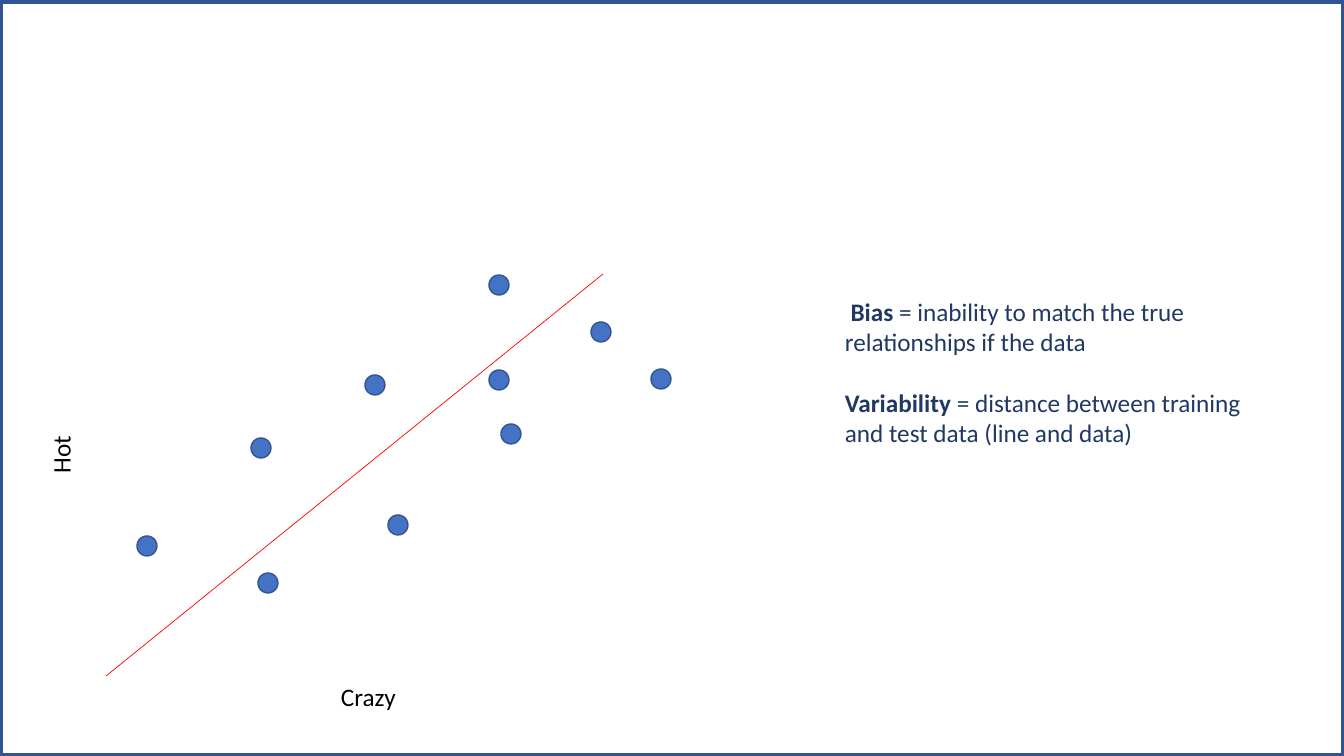
import pptx
import pptx.util
import pptx.dml.color
import pptx.enum.shapes
import pptx.enum.text
import pptx.oxml

PX = 12192000 / 1344
COLORS = {"dot": "4472C4", "edge": "325491", "fit": "FF0000", "axis": "000000", "note": "203864"}
DOT = 20
DOT_CENTERS = [
    (147, 546), (268, 583), (261, 448), (398, 525), (375, 385),
    (499, 285), (511, 434), (661, 379), (601, 332), (499, 380),
]
AXIS_LABELS = [("Crazy", 331, 676, 0), ("Hot", 6, 408, 270)]
DEFINITIONS = [
    (" Bias", " = inability to match the true relationships if the data"),
    ("Variability", " = distance between training and test data (line and data)"),
]


def px(*lengths):
    return [pptx.util.Emu(round(n * PX)) for n in lengths]


def style(font, color, bold=False):
    font.name = "Calibri"
    font.size = pptx.util.Pt(18)
    font.bold = bold
    font.color.rgb = pptx.dml.color.RGBColor.from_string(COLORS[color])


prs = pptx.Presentation()
prs.slide_width, prs.slide_height = px(1344, 756)
s = prs.slides.add_slide(prs.slide_layouts[6])
edge = pptx.dml.color.RGBColor.from_string(COLORS["edge"])

# Axis labels
for text, left, top, rotation in AXIS_LABELS:
    sp = s.shapes.add_textbox(*px(left, top, 110, 41))
    sp.rotation = rotation
    tf = sp.text_frame
    tf.word_wrap = True
    tf.text = text
    style(tf.paragraphs[0].runs[0].font, "axis")

# Data points
for x, y in DOT_CENTERS:
    sp = s.shapes.add_shape(
        pptx.enum.shapes.MSO_SHAPE.OVAL, *px(x - DOT / 2, y - DOT / 2, DOT, DOT))
    sp.shadow.inherit = False
    sp.fill.solid()
    sp.fill.fore_color.rgb = pptx.dml.color.RGBColor.from_string(COLORS["dot"])
    sp.line.color.rgb = edge
    sp.line.width = pptx.util.Pt(1)

# Fitted line
fit = s.shapes.add_connector(
    pptx.enum.shapes.MSO_CONNECTOR.STRAIGHT, *px(106, 676, 603, 274))
fit.line.color.rgb = pptx.dml.color.RGBColor.from_string(COLORS["fit"])
fit.line.width = pptx.util.Pt(0.5)
fit._element.spPr.append(pptx.oxml.parse_xml(
    '<a:effectLst xmlns:a="http://schemas.openxmlformats.org/drawingml/2006/main"/>'))

# Definitions
sp = s.shapes.add_textbox(*px(835, 291, 454, 163))
tf = sp.text_frame
tf.word_wrap = True
for i, (term, meaning) in enumerate(DEFINITIONS):
    p = tf.add_paragraph() if i else tf.paragraphs[0]
    if i:
        p.space_before = pptx.util.Pt(22)
    for text, bold in ((term, True), (meaning, False)):
        r = p.add_run()
        r.text = text
        style(r.font, "note", bold)

# Slide frame
sp = s.shapes.add_shape(pptx.enum.shapes.MSO_SHAPE.RECTANGLE, *px(0, 1, 1344, 755))
sp.shadow.inherit = False
sp.fill.background()
sp.line.color.rgb = edge
sp.line.width = pptx.util.Pt(4.5)

prs.save("out.pptx")
